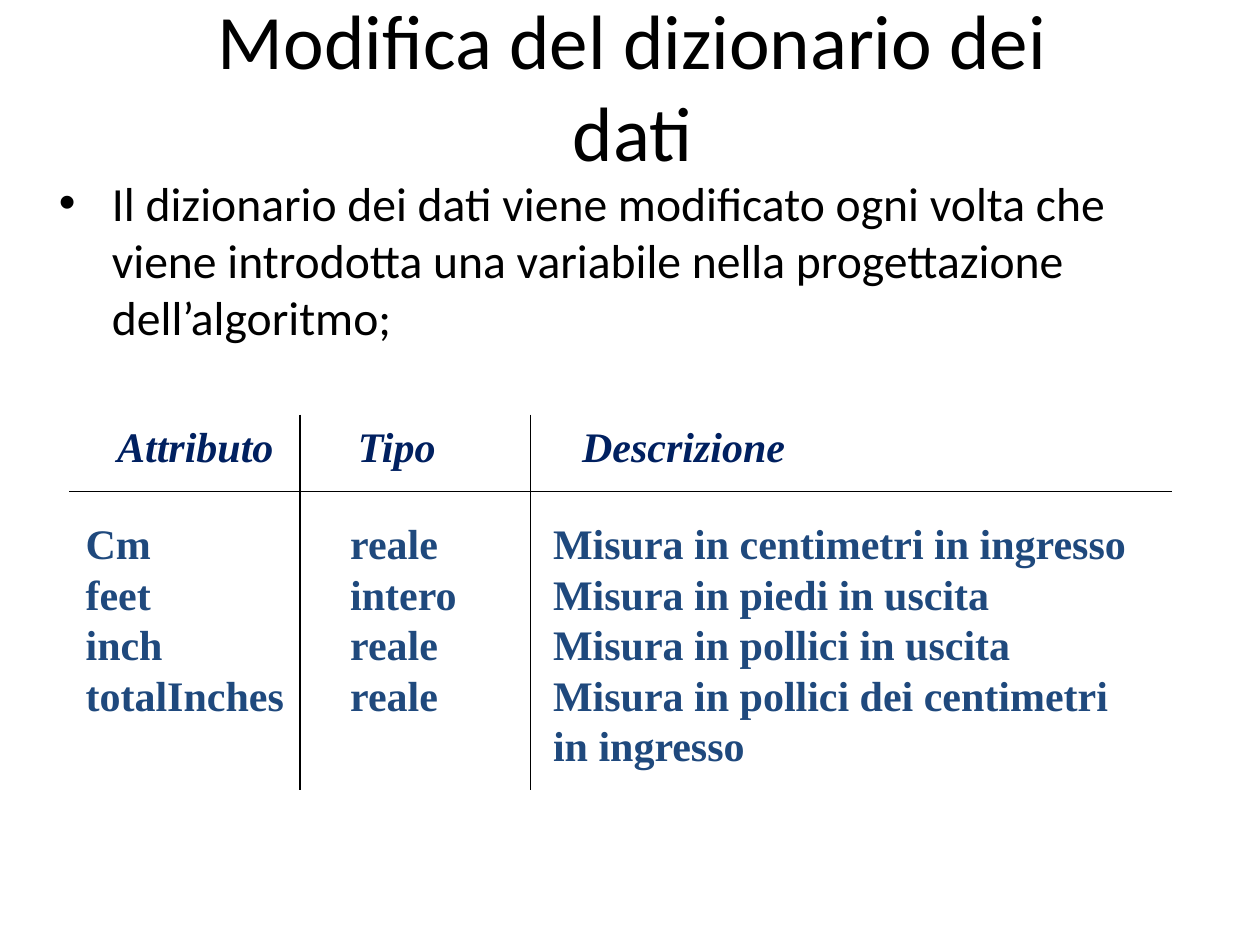
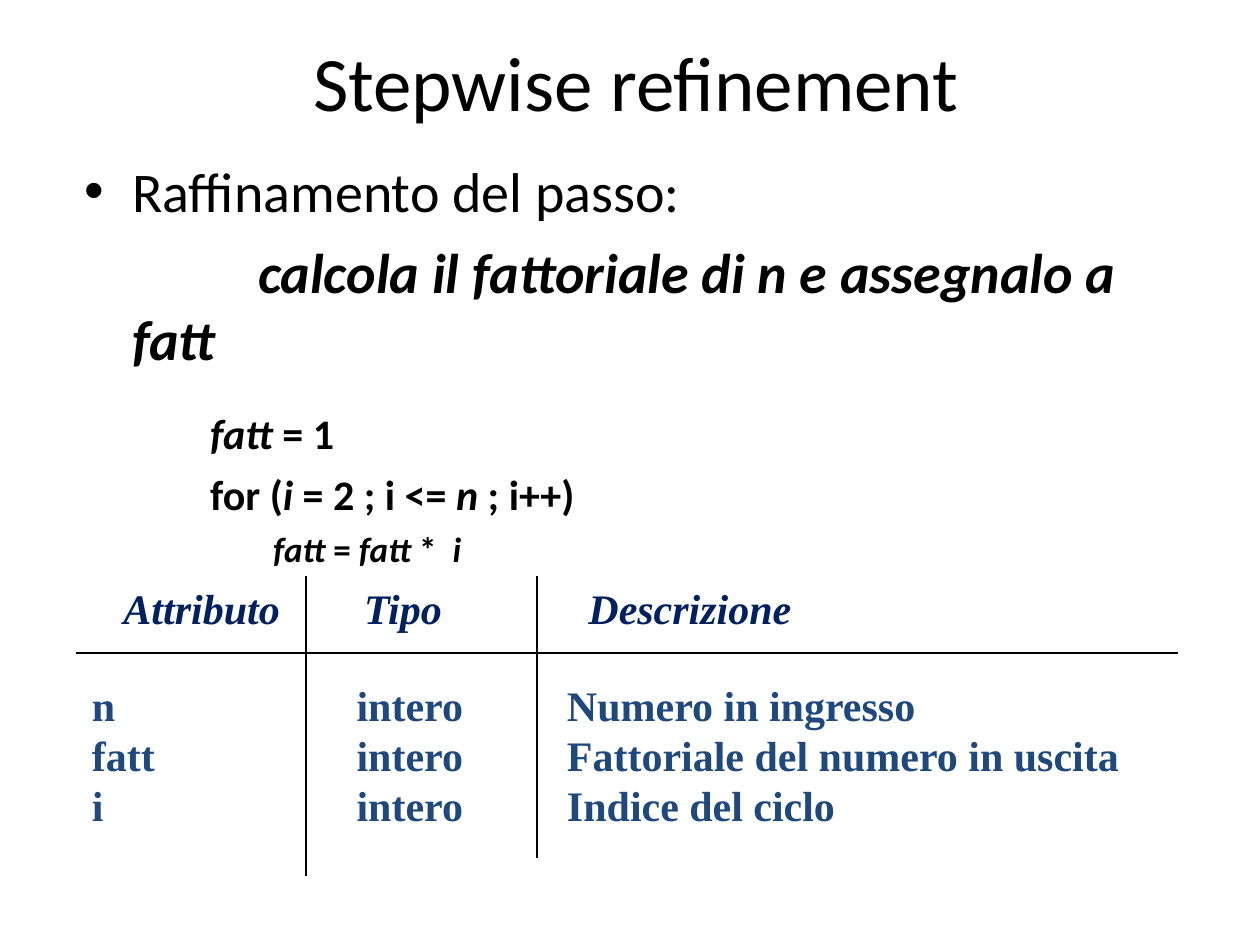
from lxml import etree
from pptx import Presentation
from pptx.dml.color import RGBColor
from pptx.enum.shapes import MSO_CONNECTOR
from pptx.enum.text import MSO_ANCHOR, MSO_AUTO_SIZE, PP_ALIGN
from pptx.oxml.ns import qn
from pptx.util import Emu, Pt

STRAIGHT = MSO_CONNECTOR.STRAIGHT
MIDDLE = MSO_ANCHOR.MIDDLE
TOP = MSO_ANCHOR.TOP
NO_AUTOFIT = MSO_AUTO_SIZE.NONE
CENTER = PP_ALIGN.CENTER

EMU_PER_PX = 9144  # 100 px to the inch
TITLE_ONLY = 5
COLORS = {"text": "000000", "header": "002060", "entry": "1F497D"}
TITLE_FONT = {"name": "Calibri", "size": Pt(44), "bold": False}
HEADER_FONT = {"name": "Times New Roman", "size": Pt(24), "bold": True, "italic": True}
ENTRY_FONT = {"name": "Times New Roman", "size": Pt(24), "bold": True, "italic": False}
DICTIONARY_HEADINGS = ("Attributo", "Tipo", "Descrizione")
HEADING_TABS = (191, 369)
COLUMN_WIDTH = 183
RULE_WIDTH = 875


def px(length):
    return Emu(length * EMU_PER_PX)


def body_font(size, bold=False, italic=False):
    return {"name": "Calibri", "size": Pt(size), "bold": bold, "italic": italic}


class SlideBuilder:
    def __init__(self, presentation):
        self.presentation = presentation
        self.slide = None

    def add_slide(self, title, box):
        layout = self.presentation.slide_layouts[TITLE_ONLY]
        self.slide = self.presentation.slides.add_slide(layout)
        shape = self.slide.shapes.title
        shape.left, shape.top, shape.width, shape.height = map(px, box)
        frame = self.prepare_frame(shape, MIDDLE)
        frame.paragraphs[0].alignment = CENTER
        self.add_run(frame.paragraphs[0], title, TITLE_FONT, "text")

    def prepare_frame(self, shape, anchor=TOP, inset=(10, 5)):
        frame = shape.text_frame
        horizontal, vertical = map(px, inset)
        values = {
            "word_wrap": True, "auto_size": NO_AUTOFIT, "vertical_anchor": anchor,
            "margin_left": horizontal, "margin_right": horizontal,
            "margin_top": vertical, "margin_bottom": vertical,
        }
        for name, value in values.items():
            setattr(frame, name, value)
        return frame

    def add_run(self, paragraph, text, font, color):
        run = paragraph.add_run()
        run.text = text
        for name, value in font.items():
            setattr(run.font, name, value)
        run.font.color.rgb = RGBColor.from_string(COLORS[color])

    def add_text_box(self, box, inset=(10, 5)):
        shape = self.slide.shapes.add_textbox(*map(px, box))
        return self.prepare_frame(shape, inset=inset)

    def next_paragraph(self, frame):
        first = frame.paragraphs[0]
        return frame.add_paragraph() if first.runs else first

    def add_body_paragraph(self, frame, runs, space_before, margin, indent=0, bullet=False):
        """Add runs given as (text, font) pairs, indented in px."""
        paragraph = self.next_paragraph(frame)
        paragraph.space_before = Pt(space_before)
        properties = paragraph._p.get_or_add_pPr()
        properties.set("marL", str(px(margin)))
        properties.set("indent", str(px(indent)))
        if bullet:
            etree.SubElement(properties, qn("a:buFont"), typeface="Arial")
            etree.SubElement(properties, qn("a:buChar"), char="•")
        for text, font in runs:
            self.add_run(paragraph, text, font, "text")

    def add_columns(self, box, rows, tabs, font, color):
        """Write rows whose cells line up on tab stops."""
        frame = self.add_text_box(box, inset=(0, 0))
        for row in rows:
            paragraph = self.next_paragraph(frame)
            tab_list = etree.SubElement(paragraph._p.get_or_add_pPr(), qn("a:tabLst"))
            for tab in tabs:
                etree.SubElement(tab_list, qn("a:tab"), pos=str(px(tab)), algn="l")
            self.add_run(paragraph, "\t".join(row), font, color)

    def add_line(self, *ends):
        connector = self.slide.shapes.add_connector(STRAIGHT, *map(px, ends))
        connector.line.width = Pt(1)
        connector.line.color.rgb = RGBColor.from_string(COLORS["text"])
        etree.SubElement(connector._element.spPr, qn("a:effectLst"))

    def add_dictionary(self, left, top, rows, row_size, row_tabs, divider_bottoms):
        self.add_columns((left + 38, top + 5, 532, 40), [DICTIONARY_HEADINGS],
                         HEADING_TABS, HEADER_FONT, "header")
        self.add_columns((left + 13, top + 82, *row_size), rows,
                         row_tabs, ENTRY_FONT, "entry")
        for column, bottom in enumerate(divider_bottoms, start=1):
            x = left + column * COLUMN_WIDTH
            self.add_line(x, top, x, bottom)
        self.add_line(left, top + 61, left + RULE_WIDTH, top + 61)


def build_dictionary_slide(builder):
    builder.add_slide("Modifica del dizionario dei dati", (122, 23, 760, 88))
    body = builder.add_text_box((37, 133, 914, 150))
    sentence = ("Il dizionario dei dati viene modificato ogni volta che viene introdotta "
                "una variabile nella progettazione dell’algoritmo;")
    builder.add_body_paragraph(body, [(sentence, body_font(27.2))], 8, 42, -42, bullet=True)
    rows = [
        ("Cm", "reale", "Misura in centimetri in ingresso"),
        ("feet", "intero", "Misura in piedi in uscita"),
        ("inch", "reale", "Misura in pollici in uscita"),
        ("totalInches", "reale", "Misura in pollici dei centimetri"),
        ("", "", "in ingresso"),
    ]
    builder.add_dictionary(55, 329, rows, (884, 200), (210, 371), (627, 627))


def build_refinement_slide(builder):
    builder.add_slide("Stepwise refinement", (26, 20, 958, 88))
    body = builder.add_text_box((57, 119, 886, 301))
    code = body_font(24, bold=True)
    variable = body_font(24, bold=True, italic=True)
    inner_code = body_font(20, bold=True)
    inner_variable = body_font(20, bold=True, italic=True)
    step = "calcola il fattoriale di n e assegnalo a fatt"

    builder.add_body_paragraph(body, [("Raffinamento del passo:", body_font(32))],
                               8, 38, -38, bullet=True)
    builder.add_body_paragraph(body, [(step, body_font(32, bold=True, italic=True))],
                               8, 38, 100)
    builder.add_body_paragraph(body, [("fatt", variable), (" = 1", code)], 20.5, 100)
    loop = [("for (", code), ("i", variable), (" = 2 ; i <= ", code),
            ("n", variable), (" ; i++)", code)]
    builder.add_body_paragraph(body, loop, 6, 100)
    product = [("fatt", inner_variable), (" = ", inner_code), ("fatt", inner_variable),
               (" *  ", inner_code), ("i", inner_variable)]
    builder.add_body_paragraph(body, product, 5, 150)

    rows = [
        ("n", "intero", "Numero in ingresso"),
        ("fatt", "intero", "Fattoriale del numero in uscita"),
        ("i", "intero", "Indice del ciclo"),
    ]
    builder.add_dictionary(60, 457, rows, (816, 120), (210, 377), (695, 681))


def main():
    presentation = Presentation()
    presentation.slide_width, presentation.slide_height = px(1000), px(750)
    builder = SlideBuilder(presentation)
    build_dictionary_slide(builder)
    build_refinement_slide(builder)
    presentation.save("out.pptx")


if __name__ == "__main__":
    main()
